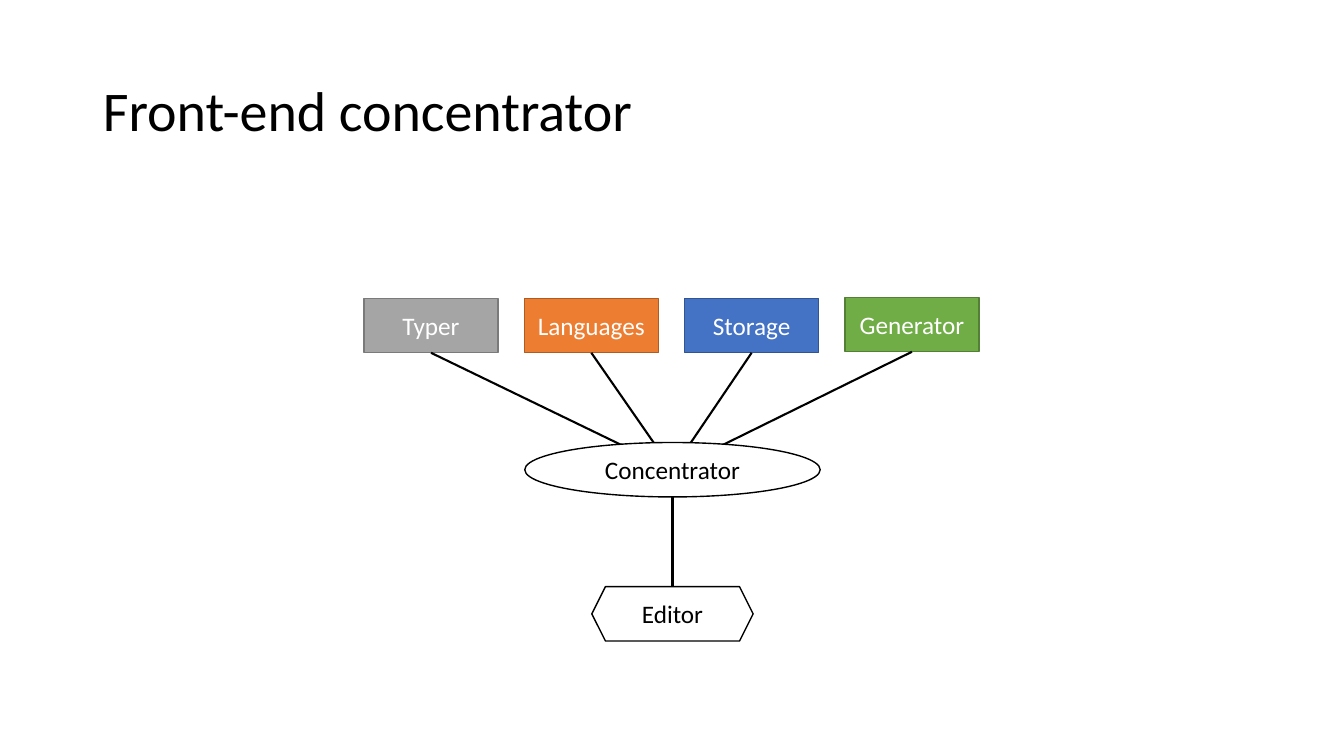
from dataclasses import dataclass

from lxml import etree
from pptx import Presentation
from pptx.dml.color import RGBColor
from pptx.enum import shapes, text
from pptx.oxml import ns
from pptx.util import Inches, Pt


@dataclass(frozen=True)
class Theme:
    font: str = "Calibri"
    title_size: float = 40
    label_size: float = 18
    outline: float = 1
    link_width: float = 1.5
    black: str = "000000"
    white: str = "FFFFFF"
    gray: tuple = ("A5A5A5", "7A7A7A")
    orange: tuple = ("ED7D31", "AF5C24")
    blue: tuple = ("4472C4", "325491")
    green: tuple = ("70AD47", "538035")


class DiagramSlide:
    def __init__(self, presentation, theme):
        self.theme = theme
        self.slide = presentation.slides.add_slide(presentation.slide_layouts[5])

    def set_label(self, frame, words, size, color, alignment):
        frame.word_wrap = True
        frame.auto_size = text.MSO_AUTO_SIZE.NONE
        frame.vertical_anchor = text.MSO_ANCHOR.MIDDLE
        paragraph = frame.paragraphs[0]
        paragraph.alignment = alignment
        run = paragraph.add_run()
        run.text = words
        run.font.name = self.theme.font
        run.font.size = Pt(size)
        run.font.color.rgb = RGBColor.from_string(color)
        return paragraph

    def title(self, words, left, top, width, height):
        shape = self.slide.shapes.title
        shape.left, shape.top = Inches(left), Inches(top)
        shape.width, shape.height = Inches(width), Inches(height)
        paragraph = self.set_label(shape.text_frame, words, self.theme.title_size,
                                   self.theme.black, text.PP_ALIGN.LEFT)
        paragraph.line_spacing = 0.9

    def node(self, kind, words, left, top, width, height, colors, text_color):
        """Add a labelled shape; colors holds its fill and outline."""
        shape = self.slide.shapes.add_shape(
            kind, Inches(left), Inches(top), Inches(width), Inches(height))
        shape.shadow.inherit = False
        fill, line = colors
        shape.fill.solid()
        shape.fill.fore_color.rgb = RGBColor.from_string(fill)
        shape.line.color.rgb = RGBColor.from_string(line)
        shape.line.width = Pt(self.theme.outline)
        self.set_label(shape.text_frame, words, self.theme.label_size,
                       text_color, text.PP_ALIGN.CENTER)
        return shape

    def link(self, start, end):
        connector = self.slide.shapes.add_connector(
            shapes.MSO_CONNECTOR.STRAIGHT, *map(Inches, start + end))
        connector.line.color.rgb = RGBColor.from_string(self.theme.black)
        connector.line.width = Pt(self.theme.link_width)
        etree.SubElement(connector._element.spPr, ns.qn("a:effectLst"))
        return connector


def main():
    presentation = Presentation()
    presentation.slide_width, presentation.slide_height = Inches(13.33), Inches(7.5)
    theme = Theme()
    diagram = DiagramSlide(presentation, theme)
    diagram.title("Front-end concentrator", 0.92, 0.4, 11.5, 1.45)

    center_x, node_height = 6.67, 0.54
    hub_top, hub_width = 4.39, 2.93
    editor_top, editor_width = 5.82, 1.6
    hub_center = (center_x, hub_top + node_height / 2)
    plain = (theme.white, theme.black)

    first_left, service_width, pitch = 3.61, 1.33, 1.59
    services = [
        ("Typer", theme.gray, 2.96),
        ("Languages", theme.orange, 2.96),
        ("Storage", theme.blue, 2.96),
        ("Generator", theme.green, 2.95),
    ]
    for index, (name, colors, top) in enumerate(services):
        left = first_left + index * pitch
        service = diagram.node(shapes.MSO_SHAPE.RECTANGLE, name, left, top,
                               service_width, node_height, colors, theme.white)
        bottom_middle = (left + service_width / 2, top + node_height)
        diagram.link(bottom_middle, hub_center).begin_connect(service, 2)

    diagram.node(shapes.MSO_SHAPE.HEXAGON, "Editor", center_x - editor_width / 2,
                 editor_top, editor_width, node_height, plain, theme.black)
    diagram.link((center_x, editor_top), (center_x, hub_top + node_height))

    # The hub comes last so that it covers the ends of the service links.
    diagram.node(shapes.MSO_SHAPE.OVAL, "Concentrator", center_x - hub_width / 2,
                 hub_top, hub_width, node_height, plain, theme.black)

    presentation.save("out.pptx")


if __name__ == "__main__":
    main()
